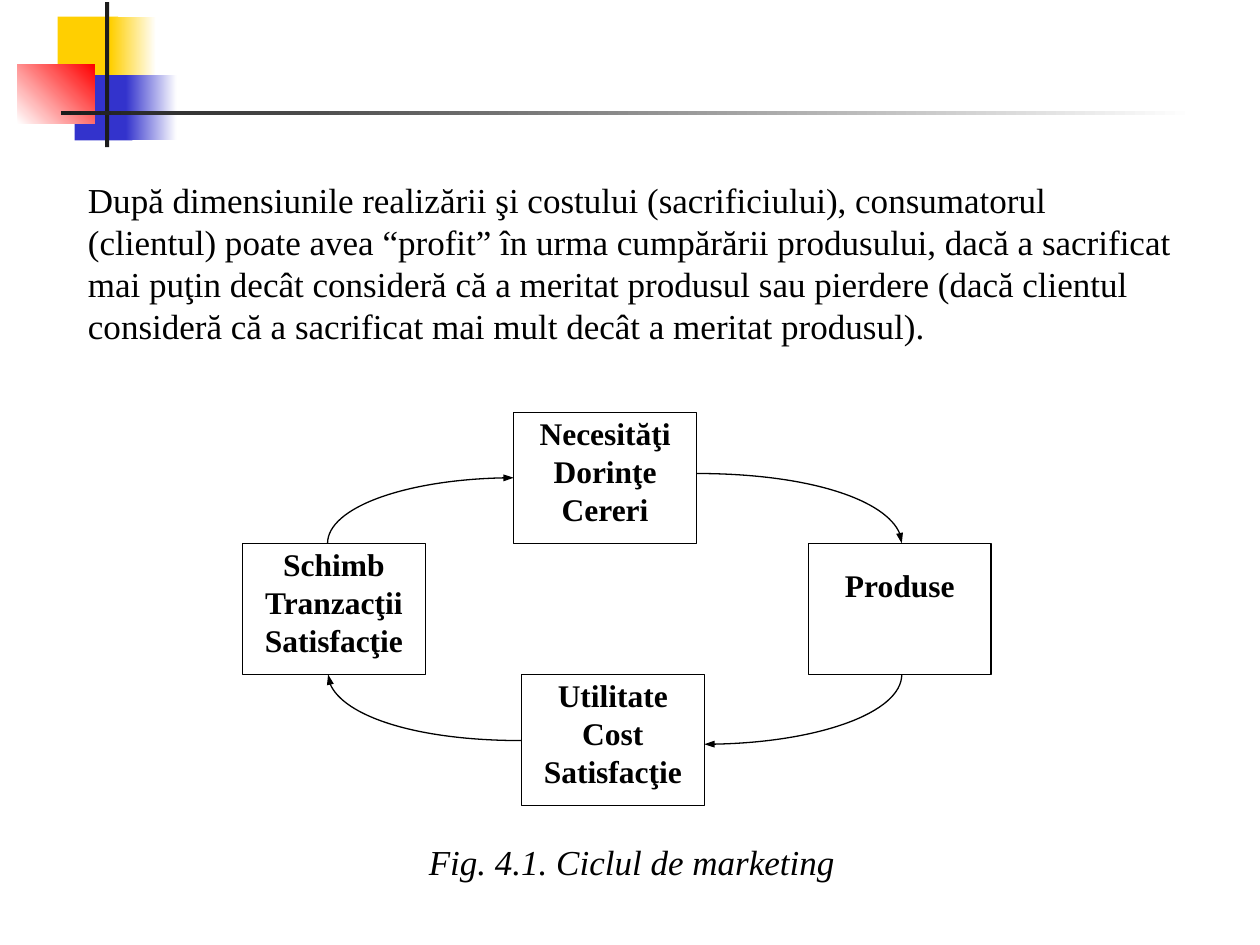
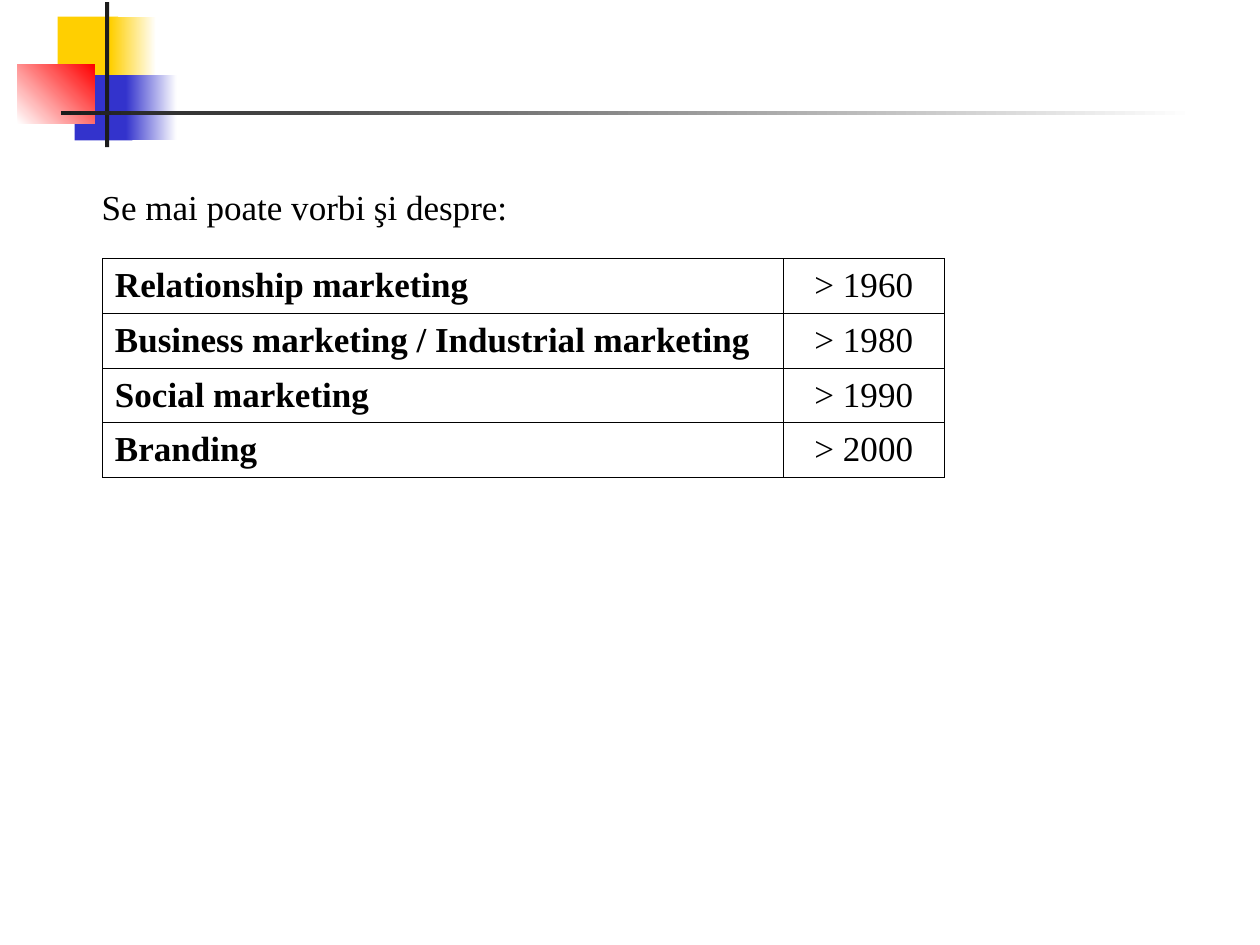
from lxml.etree import SubElement
from pptx import Presentation
from pptx.dml.color import RGBColor
from pptx.enum.shapes import MSO_SHAPE
from pptx.enum.text import MSO_ANCHOR, PP_ALIGN
from pptx.oxml import parse_xml
from pptx.oxml.ns import nsdecls, qn
from pptx.util import Pt

FONT = "Times New Roman"
BLACK, WHITE, DARK = "000000", "FFFFFF", "1C1C1C"
YELLOW, BLUE, RED = "FFCF01", "3333CC", "FF0000"


def color(hex_string):
    return RGBColor.from_string(hex_string)


def write_text(frame, lines, size=20, bold=False, italic=False, align=PP_ALIGN.LEFT):
    for index, line in enumerate(lines):
        paragraph = frame.add_paragraph() if index else frame.paragraphs[0]
        paragraph.text = line
        paragraph.alignment = align
        paragraph.font.name = FONT
        paragraph.font.size = Pt(size)
        paragraph.font.bold = bold
        paragraph.font.italic = italic
        paragraph.font.color.rgb = color(BLACK)


presentation = Presentation()
presentation.slide_width = Pt(720)
presentation.slide_height = Pt(540)
cycle_slide, types_slide = [
    presentation.slides.add_slide(presentation.slide_layouts[6]) for _ in range(2)
]

decoration = [
    (33, 9.5, 34.5, 37.5, [YELLOW], 0),
    (63.2, 9.5, 26, 37.5, [YELLOW, WHITE], 0),
    (42.7, 43, 33, 37.3, [BLUE], 0),
    (72, 43, 29, 37.3, [BLUE, WHITE], 0),
    (10, 37, 44.2, 33.7, [WHITE, RED], 45),
    (60, 1.2, 2.4, 83, [DARK], 0),
    (34.8, 63.5, 648, 2.4, [DARK, WHITE], 0),
]
for slide in (cycle_slide, types_slide):
    for left, top, width, height, colors, angle in decoration:
        shape = slide.shapes.add_shape(
            MSO_SHAPE.RECTANGLE, Pt(left), Pt(top), Pt(width), Pt(height))
        shape.shadow.inherit = False
        shape.line.fill.background()
        if len(colors) == 1:
            shape.fill.solid()
            shape.fill.fore_color.rgb = color(colors[0])
        else:
            shape.fill.gradient()
            shape.fill.gradient_angle = angle
            for stop, stop_color, position in zip(shape.fill.gradient_stops, colors, (0, 1)):
                stop.color.rgb = color(stop_color)
                stop.position = position

introduction = cycle_slide.shapes.add_textbox(Pt(43.2), Pt(98), Pt(638.6), Pt(103.7)).text_frame
introduction.word_wrap = True
introduction.vertical_anchor = MSO_ANCHOR.MIDDLE
write_text(introduction, [
    "După dimensiunile realizării şi costului (sacrificiului), consumatorul (clientul) "
    "poate avea “profit” în urma cumpărării produsului, dacă a sacrificat mai puţin decât "
    "consideră că a meritat produsul sau pierdere (dacă clientul consideră că a sacrificat "
    "mai mult decât a meritat produsul)."])

BOX_WIDTH, BOX_HEIGHT, CYCLE_TOP = 104.4, 74.9, 235.6
cycle_boxes = [
    (293.6, 0, ["Necesităţi", "Dorinţe", "Cereri"], 1),
    (462, 1, ["Produse"], 13),
    (298, 2, ["Utilitate", "Cost", "Satisfacţie"], 1),
    (138.6, 1, ["Schimb", "Tranzacţii", "Satisfacţie"], 1),
]
for left, row, lines, top_inset in cycle_boxes:
    box = cycle_slide.shapes.add_shape(
        MSO_SHAPE.RECTANGLE, Pt(left), Pt(CYCLE_TOP + row * BOX_HEIGHT),
        Pt(BOX_WIDTH), Pt(BOX_HEIGHT))
    box.shadow.inherit = False
    box.fill.solid()
    box.fill.fore_color.rgb = color(WHITE)
    box.line.color.rgb = color(BLACK)
    box.line.width = Pt(0.75)
    frame = box.text_frame
    frame.word_wrap = True
    frame.vertical_anchor = MSO_ANCHOR.TOP
    frame.margin_left = frame.margin_right = Pt(1.4)
    frame.margin_top, frame.margin_bottom = Pt(top_inset), Pt(0.7)
    write_text(frame, lines, size=18, bold=True, align=PP_ALIGN.CENTER)

QUARTER_ELLIPSE = 0.55
cycle_arrows = [
    (398, 270.6, 515.3, 310.5, True),
    (515.3, 385.4, 402.4, 425.3, False),
    (298, 423.2, 187.5, 385.4, True),
    (187.2, 310.5, 293.6, 273, False),
]
for start_x, start_y, end_x, end_y, leaves_sideways in cycle_arrows:
    reach_x = QUARTER_ELLIPSE * (end_x - start_x)
    reach_y = QUARTER_ELLIPSE * (end_y - start_y)
    if leaves_sideways:
        controls = [(start_x + reach_x, start_y), (end_x, end_y - reach_y)]
    else:
        controls = [(start_x, start_y + reach_y), (end_x - reach_x, end_y)]
    builder = cycle_slide.shapes.build_freeform(Pt(start_x), Pt(start_y))
    builder.add_line_segments(
        [(Pt(x), Pt(y)) for x, y in controls + [(end_x, end_y)]], close=False)
    arrow = builder.convert_to_shape()
    arrow.shadow.inherit = False
    arrow.fill.background()
    arrow.line.color.rgb = color(BLACK)
    arrow.line.width = Pt(0.75)
    outline = next(arrow.element.iter(qn("a:path")))
    curve = SubElement(outline, qn("a:cubicBezTo"))
    for segment in outline.findall(qn("a:lnTo")):
        curve.append(segment[0])
        outline.remove(segment)
    SubElement(arrow.line._get_or_add_ln(), qn("a:tailEnd"), type="triangle", w="sm")

caption = cycle_slide.shapes.add_textbox(Pt(189.4), Pt(476.6), Pt(343.4), Pt(45.4)).text_frame
caption.word_wrap = True
write_text(caption, ["Fig. 4.1. Ciclul de marketing"], italic=True, align=PP_ALIGN.CENTER)

marketing_types = [
    ("Relationship marketing", "> 1960"),
    ("Business marketing / Industrial marketing", "> 1980"),
    ("Social marketing", "> 1990"),
    ("Branding", "> 2000"),
]
ROW_HEIGHT = 31.2
table = types_slide.shapes.add_table(
    len(marketing_types), 2, Pt(58.5), Pt(147.8), Pt(481),
    Pt(ROW_HEIGHT * len(marketing_types))).table
table.first_row = table.horz_banding = False
table.columns[0].width, table.columns[1].width = Pt(389.2), Pt(91.8)
for row, texts in enumerate(marketing_types):
    table.rows[row].height = Pt(ROW_HEIGHT)
    for column, text in enumerate(texts):
        cell = table.cell(row, column)
        cell.vertical_anchor = MSO_ANCHOR.MIDDLE
        cell.fill.background()
        write_text(cell.text_frame, [text], bold=column == 0,
                   align=PP_ALIGN.CENTER if column else PP_ALIGN.LEFT)
        properties = cell._tc.get_or_add_tcPr()
        for index, side in enumerate("LRTB"):
            properties.insert(index, parse_xml(
                f'<a:ln{side} {nsdecls("a")} w="{Pt(0.45)}"><a:solidFill>'
                f'<a:srgbClr val="{BLACK}"/></a:solidFill></a:ln{side}>'))

heading = types_slide.shapes.add_textbox(Pt(51), Pt(102.2), Pt(260), Pt(31.5)).text_frame
heading.word_wrap = True
write_text(heading, ["Se mai poate vorbi şi despre:"])

presentation.save("out.pptx")
